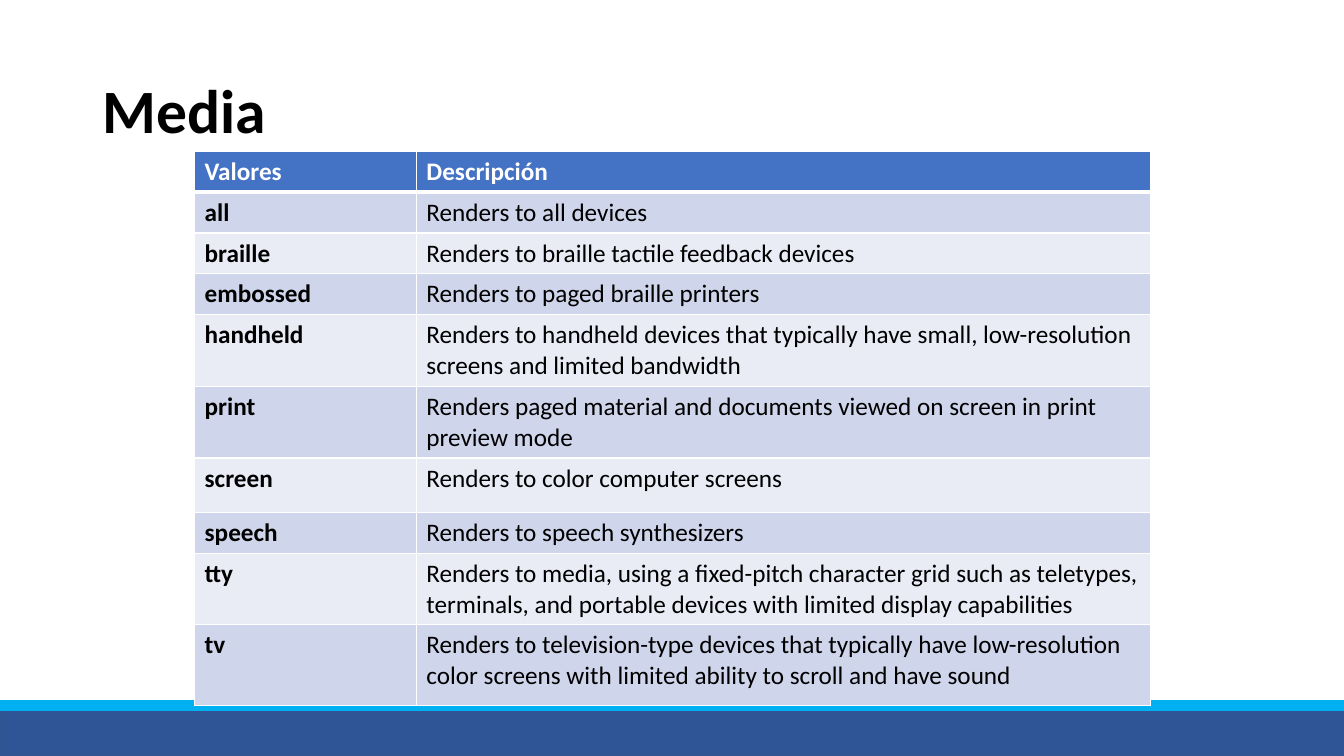
from dataclasses import dataclass

import lxml.etree
import pptx
import pptx.dml.color
import pptx.enum.shapes
import pptx.enum.text
import pptx.oxml.ns
import pptx.util

RGBColor = pptx.dml.color.RGBColor
BLACK = RGBColor(0x00, 0x00, 0x00)
WHITE = RGBColor(0xFF, 0xFF, 0xFF)
NAVY = RGBColor(0x2F, 0x55, 0x97)
NAVY_EDGE = RGBColor(0x32, 0x54, 0x91)
SKY = RGBColor(0x00, 0xB0, 0xF0)
HEADER_BLUE = RGBColor(0x44, 0x72, 0xC4)
ODD_ROW = RGBColor(0xCF, 0xD5, 0xEA)
EVEN_ROW = RGBColor(0xE9, 0xEB, 0xF5)
FONT = "Calibri"
SLIDE_WIDTH = pptx.util.Inches(13.33)
SLIDE_HEIGHT = pptx.util.Inches(7.5)


@dataclass(frozen=True)
class Band:
    top: float
    height: float
    fill: RGBColor
    edge: RGBColor


@dataclass(frozen=True)
class MediaType:
    value: str
    description: str
    height: float = 4.93


FOOTER_BANDS = (
    Band(93.73, 6.27, NAVY, NAVY_EDGE),
    Band(92.67, 1.33, SKY, SKY),
)
COLUMN_WIDTHS = (16.5, 54.61)
MEDIA_TYPES = (
    MediaType("Valores", "Descripción"),
    MediaType("all", "Renders to all devices"),
    MediaType("braille", "Renders to braille tactile feedback devices"),
    MediaType("embossed", "Renders to paged braille printers"),
    MediaType("handheld", "Renders to handheld devices that typically have small, "
              "low-resolution screens and limited bandwidth", 8.8),
    MediaType("print", "Renders paged material and documents viewed on screen "
              "in print preview mode", 8.8),
    MediaType("screen", "Renders to color computer screens", 7.2),
    MediaType("speech", "Renders to speech synthesizers"),
    MediaType("tty", "Renders to media, using a fixed-pitch character grid such as "
              "teletypes, terminals, and portable devices with limited display "
              "capabilities", 8.93),
    MediaType("tv", "Renders to television-type devices that typically have "
              "low-resolution color screens with limited ability to scroll and "
              "have sound", 10.67),
)


def across(percent: float) -> int:
    return round(SLIDE_WIDTH * percent / 100)


def down(percent: float) -> int:
    return round(SLIDE_HEIGHT * percent / 100)


def add_run(paragraph, text: str, size: int, color: RGBColor, bold: bool) -> None:
    run = paragraph.add_run()
    run.text = text
    run.font.name = FONT
    run.font.size = pptx.util.Pt(size)
    run.font.bold = bold
    run.font.color.rgb = color


def add_title(slide, text: str) -> None:
    title = slide.shapes.title
    title.left, title.top = across(6.9), down(5.33)
    title.width, title.height = across(86.27), down(19.33)
    frame = title.text_frame
    frame.word_wrap = True
    frame.auto_size = pptx.enum.text.MSO_AUTO_SIZE.NONE
    frame.vertical_anchor = pptx.enum.text.MSO_ANCHOR.MIDDLE
    heading = frame.paragraphs[0]
    heading.alignment = pptx.enum.text.PP_ALIGN.LEFT
    heading.line_spacing = 0.9
    add_run(heading, text, 44, BLACK, True)


def add_band(slide, band: Band) -> None:
    stripe = slide.shapes.add_shape(
        pptx.enum.shapes.MSO_SHAPE.RECTANGLE,
        0, down(band.top), SLIDE_WIDTH, down(band.height))
    stripe.shadow.inherit = False
    stripe.fill.solid()
    stripe.fill.fore_color.rgb = band.fill
    stripe.line.color.rgb = band.edge
    stripe.line.width = pptx.util.Pt(1)


def set_borders(cell, row: int) -> None:
    qn = pptx.oxml.ns.qn
    properties = cell._tc.get_or_add_tcPr()
    widths = {"L": 1, "R": 1, "T": 3 if row == 1 else 1, "B": 3 if row == 0 else 1}
    for side, width in widths.items():
        border = lxml.etree.SubElement(
            properties, qn(f"a:ln{side}"), w=str(pptx.util.Pt(width)))
        paint = lxml.etree.SubElement(border, qn("a:solidFill"))
        lxml.etree.SubElement(paint, qn("a:srgbClr"), val=str(WHITE))


def row_fill(row: int) -> RGBColor:
    if row == 0:
        return HEADER_BLUE
    return ODD_ROW if row % 2 else EVEN_ROW


def add_media_table(slide) -> None:
    table = slide.shapes.add_table(
        len(MEDIA_TYPES), len(COLUMN_WIDTHS), across(14.48), down(20),
        across(sum(COLUMN_WIDTHS)),
        down(sum(media.height for media in MEDIA_TYPES))).table
    for column, width in zip(table.columns, COLUMN_WIDTHS):
        column.width = across(width)
    for row, media in enumerate(MEDIA_TYPES):
        table.rows[row].height = down(media.height)
        for column, text in enumerate((media.value, media.description)):
            cell = table.cell(row, column)
            set_borders(cell, row)
            cell.fill.solid()
            cell.fill.fore_color.rgb = row_fill(row)
            add_run(cell.text_frame.paragraphs[0], text, 18,
                    BLACK if row else WHITE, row == 0 or column == 0)


def main() -> None:
    presentation = pptx.Presentation()
    presentation.slide_width = SLIDE_WIDTH
    presentation.slide_height = SLIDE_HEIGHT
    slide = presentation.slides.add_slide(
        presentation.slide_layouts.get_by_name("Title Only"))
    for band in FOOTER_BANDS:
        add_band(slide, band)
    add_title(slide, "Media")
    add_media_table(slide)
    presentation.save("out.pptx")


if __name__ == "__main__":
    main()
